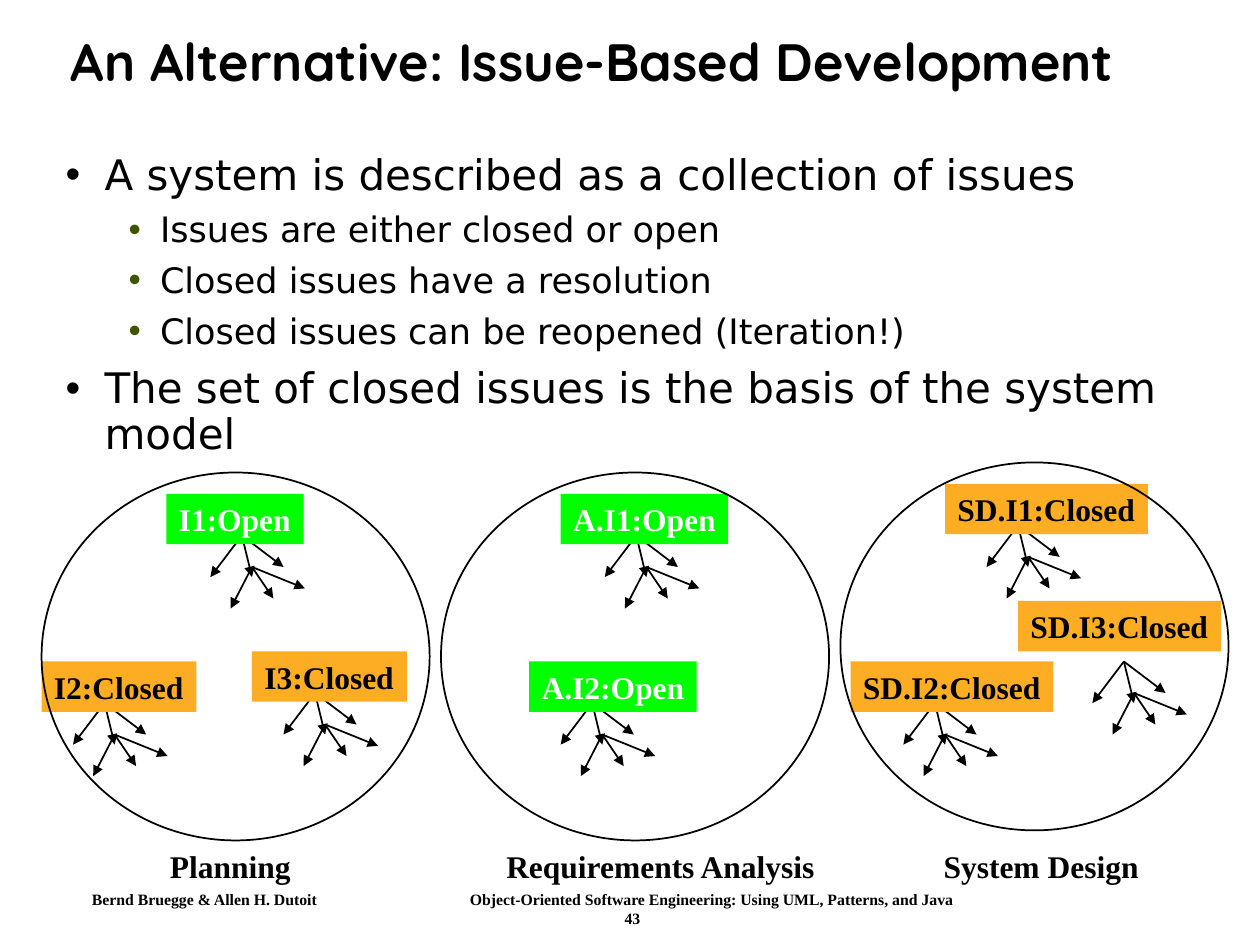
from lxml.etree import SubElement as Sub
from pptx import Presentation as Deck
from pptx.dml.color import RGBColor as Rgb
from pptx.enum.shapes import MSO_CONNECTOR as Conn, MSO_SHAPE as Kind
from pptx.enum.text import MSO_ANCHOR as Anchor, MSO_AUTO_SIZE as Fit, PP_ALIGN as Align
from pptx.oxml.ns import qn
from pptx.util import Inches, Pt

HEX = {"black": "000000", "white": "FFFFFF", "open": "00FF00",
       "closed": "FDAD23", "olive": "3D5500"}
SERIF = "Times New Roman"

POINTS = [  # text, level
    ("A system is described as a collection of issues", 0),
    ("Issues are either closed or open", 1),
    ("Closed issues have a resolution", 1),
    ("Closed issues can be reopened (Iteration!)", 1),
    ("The set of closed issues is the basis of the system model", 0),
]
# Per level: text size, space before, indent, hanging, bullet colour
LEVELS = [(24, 9, 0.31, 0.31, "black"), (20, 7.5, 0.75, 0.25, "olive")]

ISSUES = [  # label, box left, top, width, tree apex
    ("I1:Open", 1.32, 3.92, 1.09, (1.92, 4.25)),
    ("I2:Closed", 0.33, 5.25, 1.23, (0.83, 5.58)),
    ("I3:Closed", 2, 5.17, 1.23, (2.5, 5.5)),
    ("A.I1:Open", 4.45, 3.92, 1.33, (5.05, 4.25)),
    ("A.I2:Open", 4.2, 5.25, 1.33, (4.7, 5.58)),
    ("SD.I1:Closed", 7.5, 3.84, 1.61, (8.08, 4.17)),
    ("SD.I2:Closed", 6.75, 5.25, 1.61, (7.42, 5.58)),
    ("SD.I3:Closed", 8.08, 4.77, 1.61, (8.92, 5.25)),
]
# Arrows of one tree, as offsets from its apex
ROOT, NODE = (0, 0), (0.08, 0.25)
TREE = [(ROOT, (0.08, 0.33)), (ROOT, (-0.25, 0.33)), (ROOT, (0.33, 0.25)),
        (NODE, (-0.09, 0.58)), (NODE, (0.25, 0.5)), (NODE, (0.5, 0.42))]

PHASES = [  # label, label left, width, circle top
    ("Planning", 1.25, 1.16, 3.75),
    ("Requirements Analysis", 3.92, 2.67, 3.75),
    ("System Design", 7.39, 1.75, 3.67),
]


def color(name):
    return Rgb.from_string(HEX[name])


def style(para, size, face=SERIF, tint="black", bold=True):
    font = para.font
    font.size, font.name, font.bold = Pt(size), face, bold
    font.color.rgb = color(tint)


def place(shape, *box):
    shape.left, shape.top, shape.width, shape.height = map(Inches, box)


def add_title(slide):
    title = slide.shapes.title
    place(title, 0.46, 0.24, 8.92, 0.94)
    frame = title.text_frame
    frame.text = "An Alternative: Issue-Based Development"
    frame.vertical_anchor, frame.auto_size = Anchor.TOP, Fit.NONE
    para = frame.paragraphs[0]
    para.alignment, para.line_spacing = Align.LEFT, 0.9
    style(para, 30, "Quicksand")


def add_bullet(para, indent, hang, tint):
    props = para._p.get_or_add_pPr()
    props.set("marL", str(Inches(indent)))
    props.set("indent", str(-Inches(hang)))
    Sub(Sub(props, qn("a:buClr")), qn("a:srgbClr"), val=HEX[tint])
    Sub(props, qn("a:buChar"), char="•")


def add_body(slide):
    body = slide.placeholders[1]
    place(body, 0.42, 1.17, 9.03, 5.38)
    frame = body.text_frame
    frame.text = "\n".join(text for text, _ in POINTS)
    frame.auto_size = Fit.NONE
    for i, (para, (_, level)) in enumerate(zip(frame.paragraphs, POINTS)):
        size, gap, indent, hang, tint = LEVELS[level]
        para.level = level
        add_bullet(para, indent, hang, tint)
        para.line_spacing = 0.9
        para.space_before = Pt(gap if i else 0)
        style(para, size, "DejaVu Sans", bold=False)


def add_arrow(group, start, end):
    line = group.shapes.add_connector(
        Conn.STRAIGHT, *(Inches(v) for v in (*start, *end)))
    line.line.width = Pt(1)
    line.line.color.rgb = color("black")
    Sub(line.line._get_or_add_ln(), qn("a:tailEnd"), type="triangle")
    Sub(line._element.spPr, qn("a:effectLst"))


def add_tree(slide, apex):
    group = slide.shapes.add_group_shape()
    for ends in TREE:
        add_arrow(group, *((apex[0] + x, apex[1] + y) for x, y in ends))


def add_issue(slide, label, left, top, width):
    state = label.split(":")[1].lower()
    box = slide.shapes.add_shape(
        Kind.RECTANGLE, *map(Inches, (left, top, width, 0.4)))
    box.shadow.inherit = False
    box.fill.solid()
    box.fill.fore_color.rgb = color(state)
    box.line.fill.background()
    box.text_frame.text = label
    box.text_frame.word_wrap = False
    style(box.text_frame.paragraphs[0], 18,
          tint="white" if state == "open" else "black")


def add_circle(slide, left, top):
    ring = slide.shapes.add_shape(
        Kind.OVAL, *map(Inches, (left, top, 3.08, 2.92)))
    ring.shadow.inherit = False
    ring.fill.background()
    ring.line.color.rgb = color("black")
    ring.line.width = Pt(1)


def add_text(slide, text, size, *box):
    frame = slide.shapes.add_textbox(*map(Inches, box)).text_frame
    frame.text = text
    frame.word_wrap = False
    for para in frame.paragraphs:
        style(para, size)
    return frame


def add_footer(slide):
    frame = slide.shapes.add_textbox(
        *map(Inches, (0.65, 7.02, 8.74, 0.38))).text_frame
    frame.text = ("Bernd Bruegge & Allen H. Dutoit\tObject-Oriented Software "
                  "Engineering: Using UML, Patterns, and Java\n43")
    frame.word_wrap = True
    frame.margin_left = frame.margin_right = Inches(0.08)
    frame.margin_top = frame.margin_bottom = Inches(0.04)
    credit, page = frame.paragraphs
    tabs = Sub(credit._p.get_or_add_pPr(), qn("a:tabLst"))
    Sub(tabs, qn("a:tab"), pos=str(Inches(3)), algn="l")
    page.alignment = Align.CENTER
    for para in frame.paragraphs:
        style(para, 9)


def main():
    deck = Deck()
    deck.slide_width, deck.slide_height = Inches(10), Inches(7.5)
    slide = deck.slides.add_slide(deck.slide_layouts[1])

    # Heading, list and footer
    add_title(slide)
    add_body(slide)
    add_footer(slide)

    # Issues, each with its tree of arrows behind
    for *box, apex in ISSUES:
        add_tree(slide, apex)
        add_issue(slide, *box)

    # Development phases
    for i, (label, left, width, top) in enumerate(PHASES):
        add_circle(slide, 0.33 + 3.17 * i, top)
        add_text(slide, label, 18, left, 6.67, width, 0.4)

    deck.save("out.pptx")


if __name__ == "__main__":
    main()
